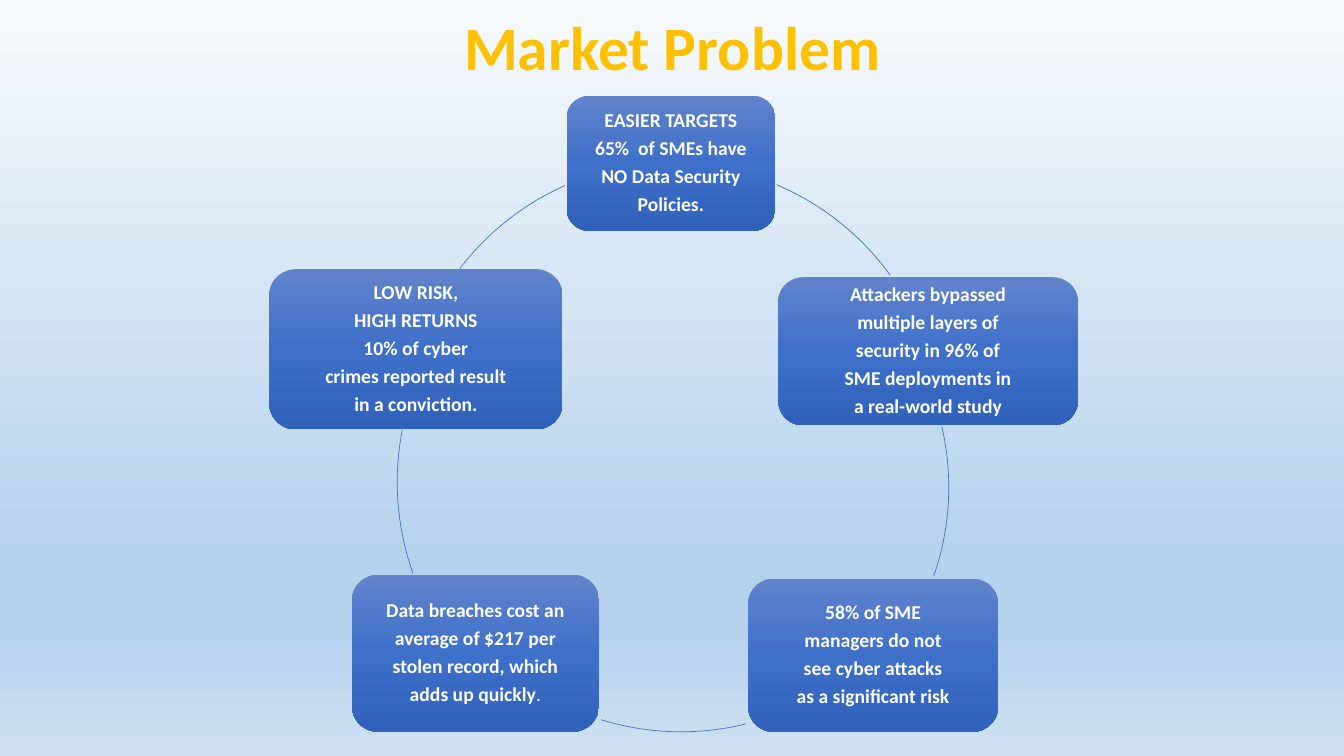
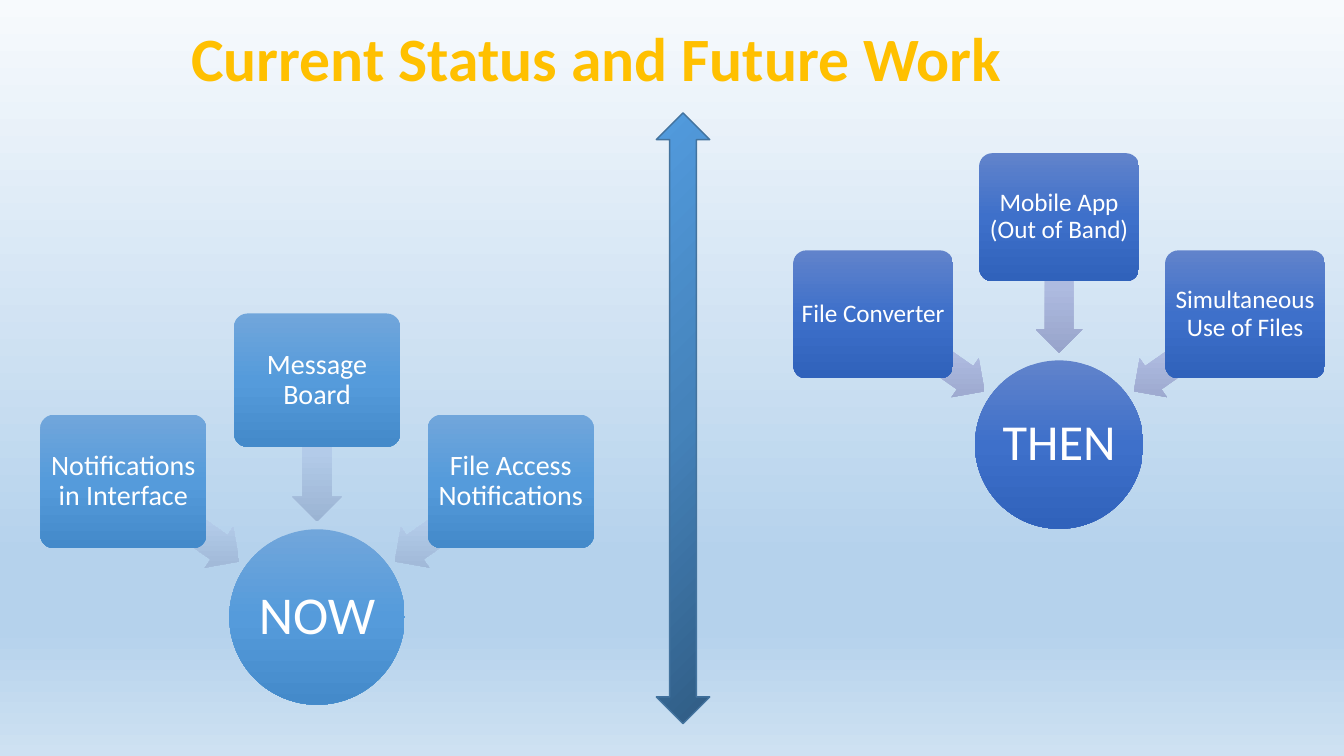
from lxml import etree
from pptx import Presentation
from pptx.dml.color import RGBColor
from pptx.enum.shapes import MSO_SHAPE
from pptx.enum.text import MSO_ANCHOR, PP_ALIGN
from pptx.oxml.ns import qn
from pptx.util import Inches, Pt

ARC = MSO_SHAPE.ARC
ELLIPSE = MSO_SHAPE.OVAL
LEFT_ARROW = MSO_SHAPE.LEFT_ARROW
ROUNDED = MSO_SHAPE.ROUNDED_RECTANGLE
UP_DOWN_ARROW = MSO_SHAPE.UP_DOWN_ARROW
MIDDLE = MSO_ANCHOR.MIDDLE
CENTER = PP_ALIGN.CENTER

FONT = "Calibri"
COLORS = {
    "title": "FFC000",
    "text": "FFFFFF",
    "ring": "4472C4",
    "divider_line": "43739E",
}
# Gradients: (percent, colour) stops
GRADIENTS = {
    "background": [(0, "F7FAFD"), (74, "B5D2EC"), (83, "B5D2EC"), (100, "CEE1F2")],
    "royal": [(0, "6183CB"), (50, "3E70CA"), (100, "3062BB")],
    "sky": [(0, "71A6DB"), (50, "559BDB"), (100, "448ACA")],
    "royal_arrow": [(0, "BBC5E3"), (50, "AEBBE0"), (100, "98A4CB")],
    "sky_arrow": [(0, "C0D2EB"), (50, "B3CBE9"), (100, "9BB4D3")],
    "divider": [(0, "305C84"), (50, "4583BB"), (100, "529BDE")],
}

# Market facts: box, lines, unbolded ending
FACTS = [
    ((5.62, 0.95, 2.07, 1.34),
     ["EASIER TARGETS", "65%  of SMEs have", "NO Data Security", "Policies."], ""),
    ((7.72, 2.75, 2.97, 1.47),
     ["Attackers bypassed", "multiple layers of", "security in 96% of",
      "SME deployments in", "a real-world study"], ""),
    ((7.42, 5.74, 2.48, 1.52),
     ["58% of SME", "managers do not", "see cyber attacks",
      "as a significant risk"], ""),
    ((3.49, 5.7, 2.45, 1.56),
     ["Data breaches cost an", "average of $217 per", "stolen record, which",
      "adds up quickly"], "."),
    ((2.67, 2.67, 2.91, 1.59),
     ["LOW RISK,", "HIGH RETURNS", "10% of cyber", "crimes reported result",
      "in a conviction."], ""),
]
# Ring pieces: left and top of the circle, start and end angle in degrees
RING_DIAMETER = 5.37
RING_ARCS = [
    (3.97, 1.62, 293, 324.1),
    (4.04, 2.15, 347, 19.2),
    (4.07, 1.89, 76.1, 107.2),
    (3.94, 2.1, 160.4, 191.1),
    (4.01, 1.61, 217.4, 246),
]


def set_attributes(target, values):
    for name, value in values.items():
        setattr(target, name, value)


def fill_gradient(owner, fill, gradient, radial=False):
    """Fill top to bottom, or outwards from the lower right corner."""
    fill.gradient()
    element = next(owner.element.iter(qn("a:gradFill")))
    element.set("rotWithShape", "0")
    stops = element.find(qn("a:gsLst"))
    for stop in list(stops):
        stops.remove(stop)
    for percent, color in GRADIENTS[gradient]:
        stop = etree.SubElement(stops, qn("a:gs"), pos=str(percent * 1000))
        etree.SubElement(stop, qn("a:srgbClr"), val=color)
    if radial:
        element.remove(element.find(qn("a:lin")))
        route = etree.SubElement(element, qn("a:path"), path="circle")
        etree.SubElement(route, qn("a:fillToRect"), l="100000", t="100000")
    else:
        fill.gradient_angle = 270


def add_shape(slide, kind, box, gradient=None, line=None, line_width=1,
              adjustments=(), rotation=0, radial=False):
    shape = slide.shapes.add_shape(kind, *map(Inches, box))
    shape.shadow.inherit = False
    shape.rotation = rotation
    for index, value in enumerate(adjustments):
        shape.adjustments[index] = value
    if gradient:
        fill_gradient(shape, shape.fill, gradient, radial)
    else:
        shape.fill.background()
    if line:
        shape.line.color.rgb = RGBColor.from_string(COLORS[line])
        shape.line.width = Pt(line_width)
    else:
        shape.line.fill.background()
    return shape


def add_run(paragraph, text, size, color, bold):
    run = paragraph.add_run()
    run.text = text
    set_attributes(run.font, {"name": FONT, "size": Pt(size), "bold": bold})
    run.font.color.rgb = RGBColor.from_string(COLORS[color])


def write_text(shape, lines, size, inset, color="text", bold=False, plain_end=""):
    frame = shape.text_frame
    margins = {f"margin_{side}": Inches(inset)
               for side in ("left", "top", "right", "bottom")}
    set_attributes(frame, {"word_wrap": True, "vertical_anchor": MIDDLE, **margins})
    for index, line in enumerate(lines):
        paragraph = frame.add_paragraph() if index else frame.paragraphs[0]
        set_attributes(paragraph, {"alignment": CENTER, "line_spacing": 0.9})
        if index < len(lines) - 1:
            paragraph.space_after = Pt(0.35 * size)
        add_run(paragraph, line, size, color, bold)
    if plain_end:
        add_run(paragraph, plain_end, size, color, False)


def add_titled_slide(presentation, title, title_box):
    slide = presentation.slides.add_slide(presentation.slide_layouts[6])
    fill_gradient(slide, slide.background.fill, "background")
    text_box = slide.shapes.add_textbox(*map(Inches, title_box))
    write_text(text_box, [title], 44, 0.05, "title", True)
    return slide


def add_fact(slide, box, lines, plain_end):
    card = add_shape(slide, ROUNDED, box, "royal")
    write_text(card, lines, 14, 0.06, bold=True, plain_end=plain_end)


def add_ring_arc(slide, left, top, start, end):
    # Arc adjustments count 60000 units a degree, scaled by 100000
    add_shape(slide, ARC, (left, top, RING_DIAMETER, RING_DIAMETER),
              line="ring", line_width=0.5, adjustments=(start * 0.6, end * 0.6))


def add_converging_diagram(slide, left, top, width, palette, hub, hub_size,
                           labels, label_size):
    """Three cards pointing at a round hub; all parts scale with the width."""
    def place(x, y, part_width, part_height):
        return (left + x * width, top + y * width,
                part_width * width, part_height * width)

    # Hub: no inset, so its label keeps to one line
    diameter = 0.317
    circle = add_shape(slide, ELLIPSE,
                       place(0.5 - diameter / 2, 0.39, diameter, diameter), palette)
    write_text(circle, [hub], hub_size, 0)

    # Arrows and cards, left to right
    arrow_width, arrow_height = 0.255, 0.089
    spokes = [(0, 0.183, 0.255, 0.375, 215),
              (0.35, 0, 0.5, 0.248, 270),
              (0.7, 0.183, 0.745, 0.375, 325)]
    for label, (card_x, card_y, arrow_x, arrow_y, rotation) in zip(labels, spokes):
        add_shape(slide, LEFT_ARROW,
                  place(arrow_x - arrow_width / 2, arrow_y - arrow_height / 2,
                        arrow_width, arrow_height),
                  f"{palette}_arrow", adjustments=(0.6, 0.5), rotation=rotation)
        card = add_shape(slide, ROUNDED, place(card_x, card_y, 0.3, 0.241),
                         palette, adjustments=(0.1,))
        write_text(card, [label], label_size, 0.04)


def build_market_problem(presentation):
    slide = add_titled_slide(presentation, "Market Problem", (0.92, 0.06, 11.5, 0.89))
    for fact, arc in zip(FACTS, RING_ARCS):
        add_fact(slide, *fact)
        add_ring_arc(slide, *arc)


def build_status(presentation):
    slide = add_titled_slide(presentation, "Current Status and Future Work",
                             (0.17, 0.2, 11.5, 0.83))
    # Divider
    add_shape(slide, UP_DOWN_ARROW, (6.51, 1.12, 0.53, 6.06), "divider",
              line="divider_line", radial=True)
    # Present and future
    add_converging_diagram(
        slide, 0.4, 3.11, 5.49, "sky", "NOW", 38,
        ["Notifications in Interface", "Message Board", "File Access Notifications"], 20)
    add_converging_diagram(
        slide, 7.87, 1.52, 5.27, "royal", "THEN", 36,
        ["File Converter", "Mobile App (Out of Band)", "Simultaneous Use of Files"], 18)


def main():
    presentation = Presentation()
    set_attributes(presentation, {"slide_width": Inches(13.33),
                                  "slide_height": Inches(7.5)})
    build_market_problem(presentation)
    build_status(presentation)
    presentation.save("out.pptx")


if __name__ == "__main__":
    main()
